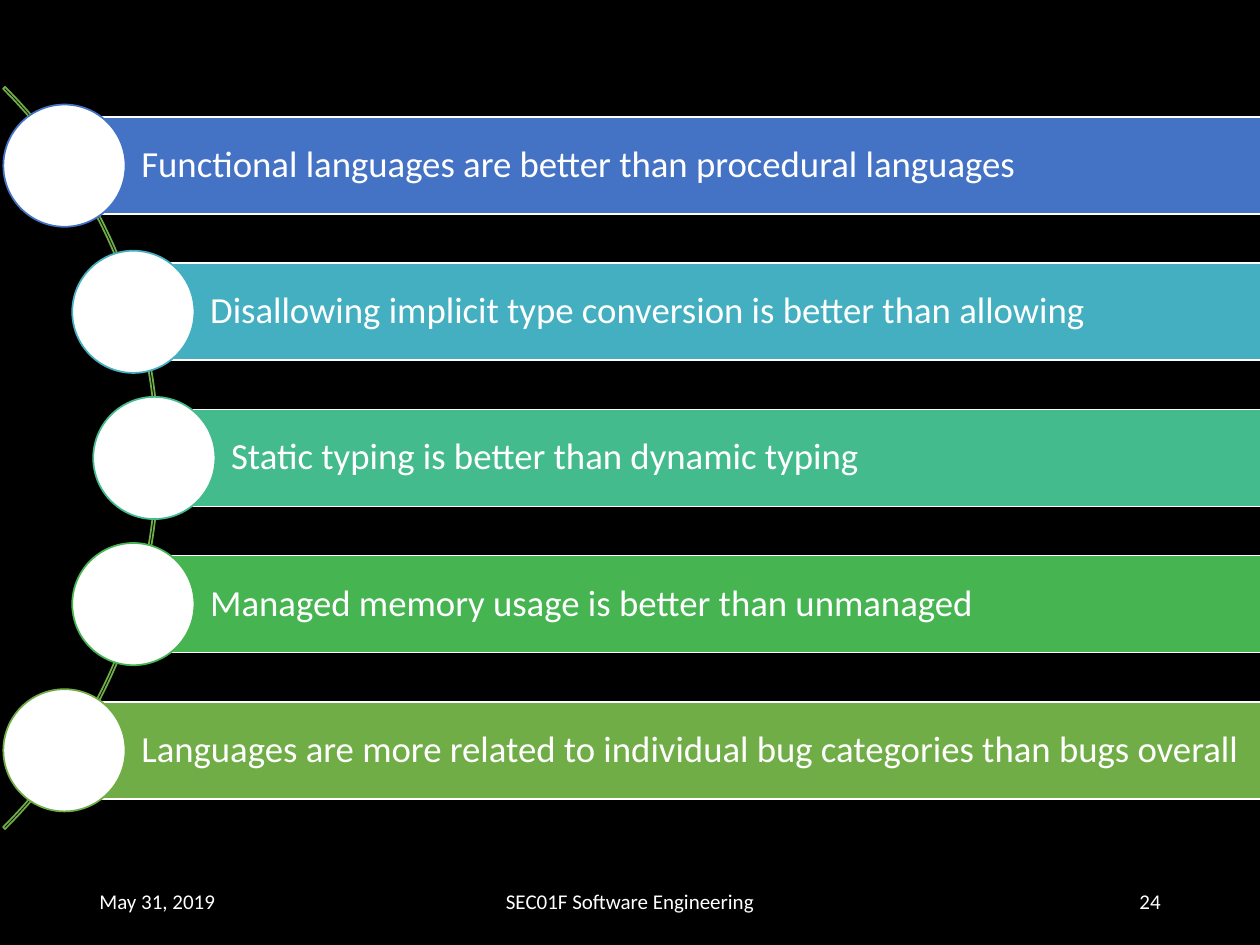
from math import sqrt

from pptx import Presentation
from pptx.dml.color import RGBColor
from pptx.enum.shapes import MSO_SHAPE as Shape
from pptx.enum.text import MSO_ANCHOR as Anchor, PP_ALIGN as Align
from pptx.util import Inches, Pt

COLORS = {
    "background": "000000",
    "white": "FFFFFF",
    "blue": "4472C4",
    "cyan": "43AFC0",
    "teal": "43BB8D",
    "green": "45B451",
    "olive": "70AD47",
}
CLAIMS = [
    ("Functional languages are better than procedural languages", "blue"),
    ("Disallowing implicit type conversion is better than allowing", "cyan"),
    ("Static typing is better than dynamic typing", "teal"),
    ("Managed memory usage is better than unmanaged", "green"),
    ("Languages are more related to individual bug categories than bugs overall", "olive"),
]
FOOTERS = [
    ("May 31, 2019", 0.69, 2.25, Align.LEFT),
    ("SEC01F Software Engineering", 3.31, 3.38, Align.CENTER),
    ("24", 7.06, 2.25, Align.RIGHT),
]
FOOTER_TOP, FOOTER_HEIGHT = 6.95, 0.4
ARC_LEFT, ARC_TOP, ARC_SIZE = -7.07, -0.53, 8.33
ARC_ADJUSTMENTS = (189, 27, 0.0026)
CENTER_RADIUS = 4.13
ROW_PITCH = 1.16
BAR_HEIGHT, BAR_RIGHT = 0.77, 10.01
CIRCLE_SIZE = 0.97


def color(name):
    return RGBColor.from_string(COLORS[name])


def write(shape, text, size, align=Align.LEFT, margins=(0.1, 0.05, 0.1, 0.05), spacing=1.0):
    frame = shape.text_frame
    frame.word_wrap = True
    frame.vertical_anchor = Anchor.MIDDLE
    (frame.margin_left, frame.margin_top,
     frame.margin_right, frame.margin_bottom) = map(Inches, margins)
    paragraph = frame.paragraphs[0]
    paragraph.alignment = align
    paragraph.line_spacing = spacing
    run = paragraph.add_run()
    run.text = text
    run.font.name = "Calibri"
    run.font.size = Pt(size)
    run.font.color.rgb = color("white")


def add_figure(slide, kind, box, line, fill=None):
    shape = slide.shapes.add_shape(kind, *map(Inches, box))
    shape.shadow.inherit = False
    if fill:
        shape.fill.solid()
        shape.fill.fore_color.rgb = color(fill)
    else:
        shape.fill.background()
    shape.line.color.rgb = color(line)
    shape.line.width = Pt(1)
    return shape


def add_claims(slide):
    arc = add_figure(slide, Shape.BLOCK_ARC, (ARC_LEFT, ARC_TOP, ARC_SIZE, ARC_SIZE), "olive")
    for index, value in enumerate(ARC_ADJUSTMENTS):
        arc.adjustments[index] = value

    center_x, center_y = ARC_LEFT + ARC_SIZE / 2, ARC_TOP + ARC_SIZE / 2
    for row, (text, accent) in enumerate(CLAIMS):
        offset = (row - (len(CLAIMS) - 1) / 2) * ROW_PITCH
        x = center_x + sqrt(CENTER_RADIUS ** 2 - offset ** 2)
        y = center_y + offset
        bar_box = (x, y - BAR_HEIGHT / 2, BAR_RIGHT - x, BAR_HEIGHT)
        bar = add_figure(slide, Shape.RECTANGLE, bar_box, "white", fill=accent)
        write(bar, text, size=21, margins=(0.61, 0.06, 0.06, 0.06), spacing=0.9)
        circle_box = (x - CIRCLE_SIZE / 2, y - CIRCLE_SIZE / 2, CIRCLE_SIZE, CIRCLE_SIZE)
        add_figure(slide, Shape.OVAL, circle_box, accent, fill="white")


def add_footers(slide):
    for text, left, width, align in FOOTERS:
        box = (left, FOOTER_TOP, width, FOOTER_HEIGHT)
        write(slide.shapes.add_textbox(*map(Inches, box)), text, size=12, align=align)


def main():
    presentation = Presentation()
    presentation.slide_width, presentation.slide_height = Inches(10), Inches(7.5)
    slide = presentation.slides.add_slide(presentation.slide_layouts[6])
    slide.background.fill.solid()
    slide.background.fill.fore_color.rgb = color("background")
    add_footers(slide)
    add_claims(slide)
    presentation.save("out.pptx")


if __name__ == "__main__":
    main()
